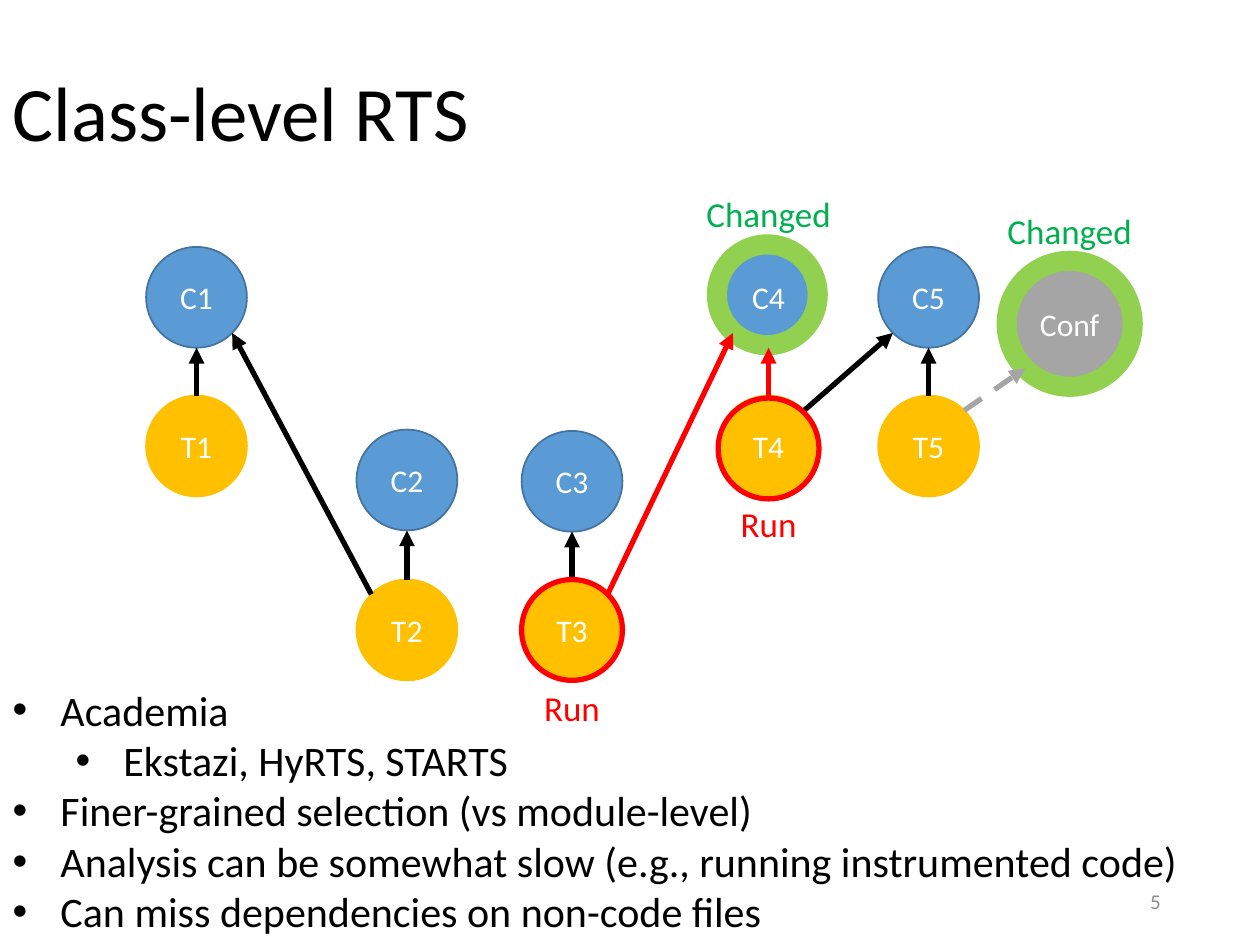
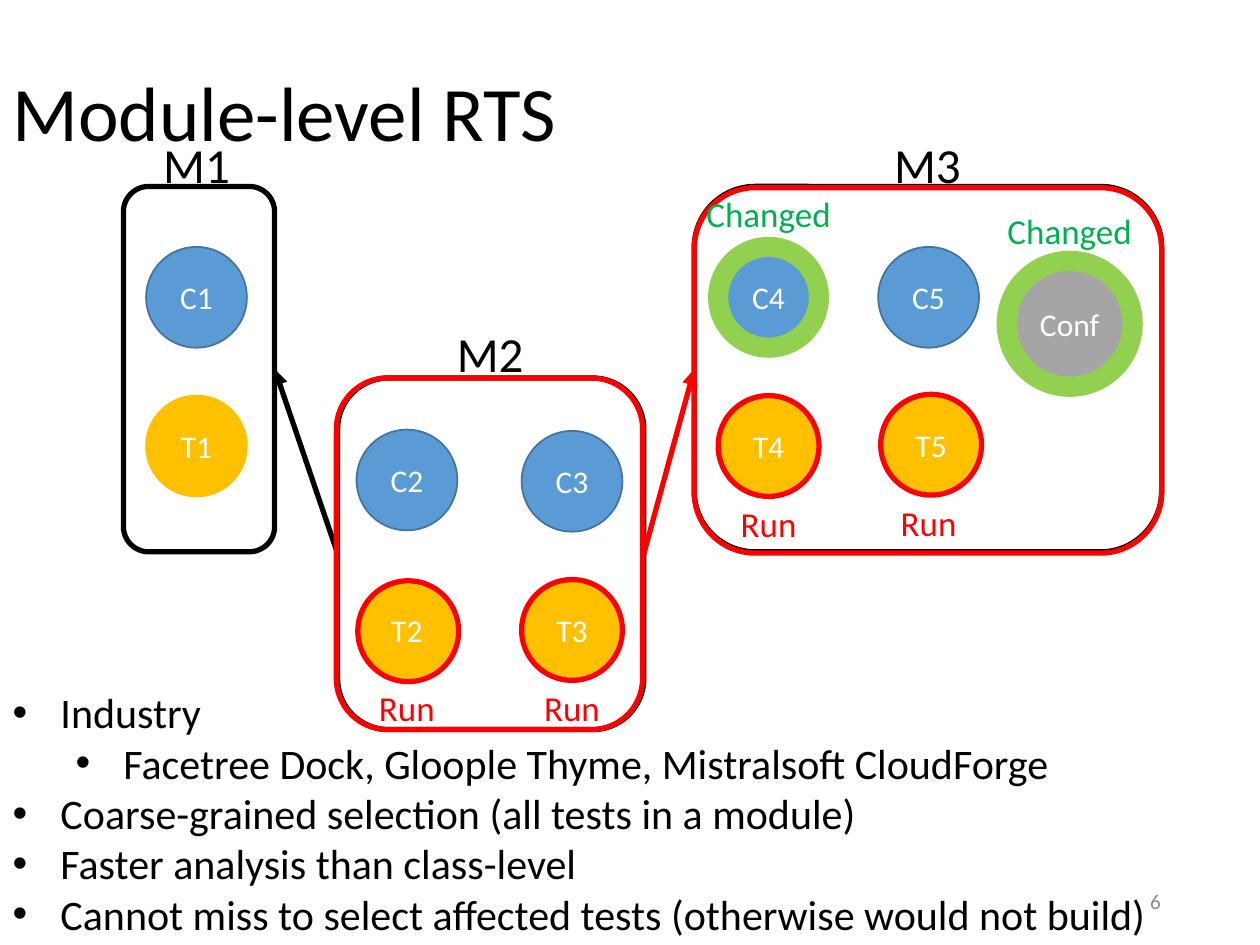
"""Build two slides comparing class-level and module-level regression test selection."""
from lxml.etree import SubElement
from pptx import Presentation
from pptx.dml.color import RGBColor
from pptx.enum.dml import MSO_LINE
from pptx.enum.shapes import MSO_CONNECTOR, MSO_SHAPE
from pptx.enum.text import MSO_ANCHOR, MSO_AUTO_SIZE, PP_ALIGN
from pptx.oxml.ns import qn
from pptx.util import Inches, Pt

BLACK, WHITE, RED, GRAY = "000000", "FFFFFF", "FF0000", "A5A5A5"
BLUE, NAVY, GOLD, LIME, GREEN, SILVER = "5B9BD5", "43739E", "FFC000", "92D050", "00B050", "8C8C8C"

deck = Presentation()
deck.slide_width, deck.slide_height = Inches(10), Inches(7.5)
UNIT = deck.slide_width // 10

DIAMETER = 0.8
COLUMNS = {"1": 1.16, "2": 2.83, "3": 4.14, "4": 5.7, "5": 6.97}
CLASS_ROWS = {"1": 1.96, "2": 3.41, "3": 3.42, "4": 1.96, "5": 1.96}
TEST_ROWS = {"1": 3.14, "2": 4.6, "3": 4.6, "4": 3.14, "5": 3.14}
CONF = (7.99, 2.07, 1, 1)
LABEL_SIZE = (1.46, 0.44)


def draw(page, kind, at, text="", fill=None, line=None, width=1, size=18, colour=WHITE,
         align=PP_ALIGN.CENTER, anchor=MSO_ANCHOR.MIDDLE):
    """Add a preset shape, or a text box when kind is None, and return it."""
    place = [round(length * UNIT) for length in at]
    if kind is None:
        box = page.shapes.add_textbox(*place)
    else:
        box = page.shapes.add_shape(kind, *place)
        box.shadow.inherit = False
        if fill:
            box.fill.solid()
            box.fill.fore_color.rgb = RGBColor.from_string(fill)
        else:
            box.fill.background()
        box.line.color.rgb = RGBColor.from_string(line)
        box.line.width = Pt(width)
    if text:
        for name, value in {"word_wrap": True, "vertical_anchor": anchor}.items():
            setattr(box.text_frame, name, value)
        para = box.text_frame.paragraphs[0]
        para.alignment = align
        span = para.add_run()
        span.text = text
        for name, value in {"name": "Calibri", "size": Pt(size)}.items():
            setattr(span.font, name, value)
        span.font.color.rgb = RGBColor.from_string(colour)
    return box


def arrow(page, start, end, side=0, colour=BLACK, dashed=False, glued=False):
    """Join two shapes, leaving start at its left (-1), top (0) or right (1)."""
    points = []
    for shape, across, down in ((start, side, -1), (end, -side, 1)):
        reach = shape.width / 2 * (0.707 if side else 1)
        points += [round(shape.left + shape.width / 2 + across * reach),
                   round(shape.top + shape.height / 2 + down * reach)]
    link = page.shapes.add_connector(MSO_CONNECTOR.STRAIGHT, *points)
    if glued:
        link.begin_connect(start, 2 + side)
        link.end_connect(end, 2 - side)
    link.line.color.rgb = RGBColor.from_string(colour)
    link.line.width = Pt(3)
    if dashed:
        link.line.dash_style = MSO_LINE.DASH
    SubElement(link.line._get_or_add_ln(), qn("a:tailEnd"), type="triangle")
    SubElement(link._element.spPr, qn("a:effectLst"))


SLIDES = [
    {"title": "Class-level RTS", "number": "5", "body": (0, 5.38, 9.47, 2.12),
     "points": [(0, "Academia"), (1, "Ekstazi, HyRTS, STARTS"),
                (0, "Finer-grained selection (vs module-level)"),
                (0, "Analysis can be somewhat slow (e.g., running instrumented code)"),
                (0, "Can miss dependencies on non-code files")],
     "t5": (6.97, 3.14), "c4 ring": (5.69, 1.94),
     "run rings": [(5.7, 3.16), (4.14, 4.6)],
     "run labels": [(3.81, 5.4), (5.37, 3.94)]},
    {"title": "Module-level RTS", "number": "6", "body": (0, 5.4, 9.55, 2.12),
     "points": [(0, "Industry"), (1, "Facetree Dock, Gloople Thyme, Mistralsoft CloudForge"),
                (0, "Coarse-grained selection (all tests in a module)"),
                (0, "Faster analysis than class-level"),
                (0, "Cannot miss to select affected tests (otherwise would not build)")],
     "t5": (6.99, 3.13), "c4 ring": (5.7, 1.96),
     "run rings": [(5.7, 3.14), (4.14, 4.6), (2.84, 4.61), (6.99, 3.13)],
     "run labels": [(3.81, 5.4), (5.37, 3.94), (2.5, 5.4), (6.64, 3.93)]},
]

MODULES = {"M1": (0.98, 1.48, 1.2, 2.9), "M2": (2.68, 3, 2.43, 2.79), "M3": (5.51, 1.48, 3.71, 2.9)}
MODULE_NAMES = {"M1": (1.16, 1.02), "M2": (3.49, 2.52), "M3": (6.96, 1.02)}
AFFECTED_MODULES = [(5.51, 1.49, 3.71, 2.9), (2.67, 3, 2.43, 2.79)]

for content in SLIDES:
    page = deck.slides.add_slide(deck.slide_layouts[1])
    title, body = page.placeholders
    lines = [(0, content["title"])]
    for holder, at, entries, size in ((title, (0, 0, 10, 1.85), lines, 44),
                                      (body, content["body"], content["points"], 24)):
        for name, length in zip(("left", "top", "width", "height"), at):
            setattr(holder, name, round(length * UNIT))
        frame = holder.text_frame
        frame.auto_size = MSO_AUTO_SIZE.NONE
        frame.vertical_anchor = MSO_ANCHOR.MIDDLE if holder is title else MSO_ANCHOR.TOP
        for index, (level, text) in enumerate(entries):
            para = frame.add_paragraph() if index else frame.paragraphs[0]
            style = {"level": level, "alignment": PP_ALIGN.LEFT, "space_before": Pt(0),
                     "line_spacing": 0.9 if holder is title else 1.0}
            for name, value in style.items():
                setattr(para, name, value)
            if holder is body:
                properties = para._p.get_or_add_pPr()
                properties.set("marL", str(Inches(0.38 + 0.5 * level)))
                properties.set("indent", str(Inches(-0.38)))
                SubElement(properties, qn("a:buFont"), typeface="Arial")
                SubElement(properties, qn("a:buChar"), char="•")
            span = para.add_run()
            span.text = text
            for name, value in {"name": "Calibri", "size": Pt(size)}.items():
                setattr(span.font, name, value)
            span.font.color.rgb = RGBColor.from_string(BLACK)

    nodes = {}
    for key, left in COLUMNS.items():
        test_place = content["t5"] if key == "5" else (left, TEST_ROWS[key])
        for letter, place, fill, line in (("C", (left, CLASS_ROWS[key]), BLUE, NAVY),
                                          ("T", test_place, GOLD, GOLD)):
            nodes[letter + key] = draw(page, MSO_SHAPE.OVAL, (*place, DIAMETER, DIAMETER),
                                       letter + key, fill, line)
    nodes["Conf"] = draw(page, MSO_SHAPE.OVAL, CONF, "Conf", GRAY, GRAY)

    if content is SLIDES[0]:
        for start, end, side in (("T1", "C1", 0), ("T2", "C1", -1), ("T2", "C2", 0),
                                 ("T3", "C3", 0), ("T5", "C5", 0), ("T4", "C5", 1)):
            arrow(page, nodes[start], nodes[end], side)
    else:
        for name, at in MODULES.items():
            nodes[name] = draw(page, MSO_SHAPE.ROUNDED_RECTANGLE, at, line=BLACK, width=3)
            draw(page, None, (*MODULE_NAMES[name], 0.8, 0.57), name, size=28, colour=BLACK,
                 anchor=MSO_ANCHOR.TOP)
        arrow(page, nodes["M2"], nodes["M1"], -1, glued=True)
        for at in AFFECTED_MODULES:
            draw(page, MSO_SHAPE.ROUNDED_RECTANGLE, at, line=RED, width=3)

    for at in ((*content["c4 ring"], DIAMETER, DIAMETER), CONF):
        draw(page, MSO_SHAPE.OVAL, at, line=LIME, width=11.5)
    for place in content["run rings"]:
        draw(page, MSO_SHAPE.OVAL, (*place, DIAMETER, DIAMETER), line=RED, width=3)
    for text, colour, places in (("Changed", GREEN, [(5.37, 1.48), (7.76, 1.61)]),
                                 ("Run", RED, content["run labels"])):
        for place in places:
            draw(page, None, (*place, *LABEL_SIZE), text, size=20, colour=colour,
                 anchor=MSO_ANCHOR.TOP)

    if content is SLIDES[0]:
        arrow(page, nodes["T5"], nodes["Conf"], 1, GRAY, dashed=True)
        arrow(page, nodes["T4"], nodes["C4"], 0, RED)
        arrow(page, nodes["T3"], nodes["C4"], 1, RED)
    else:
        arrow(page, nodes["M2"], nodes["M3"], 1, RED, glued=True)
    draw(page, None, (7.06, 6.95, 2.25, 0.4), content["number"], size=12, colour=SILVER,
         align=PP_ALIGN.RIGHT)

deck.save("out.pptx")
